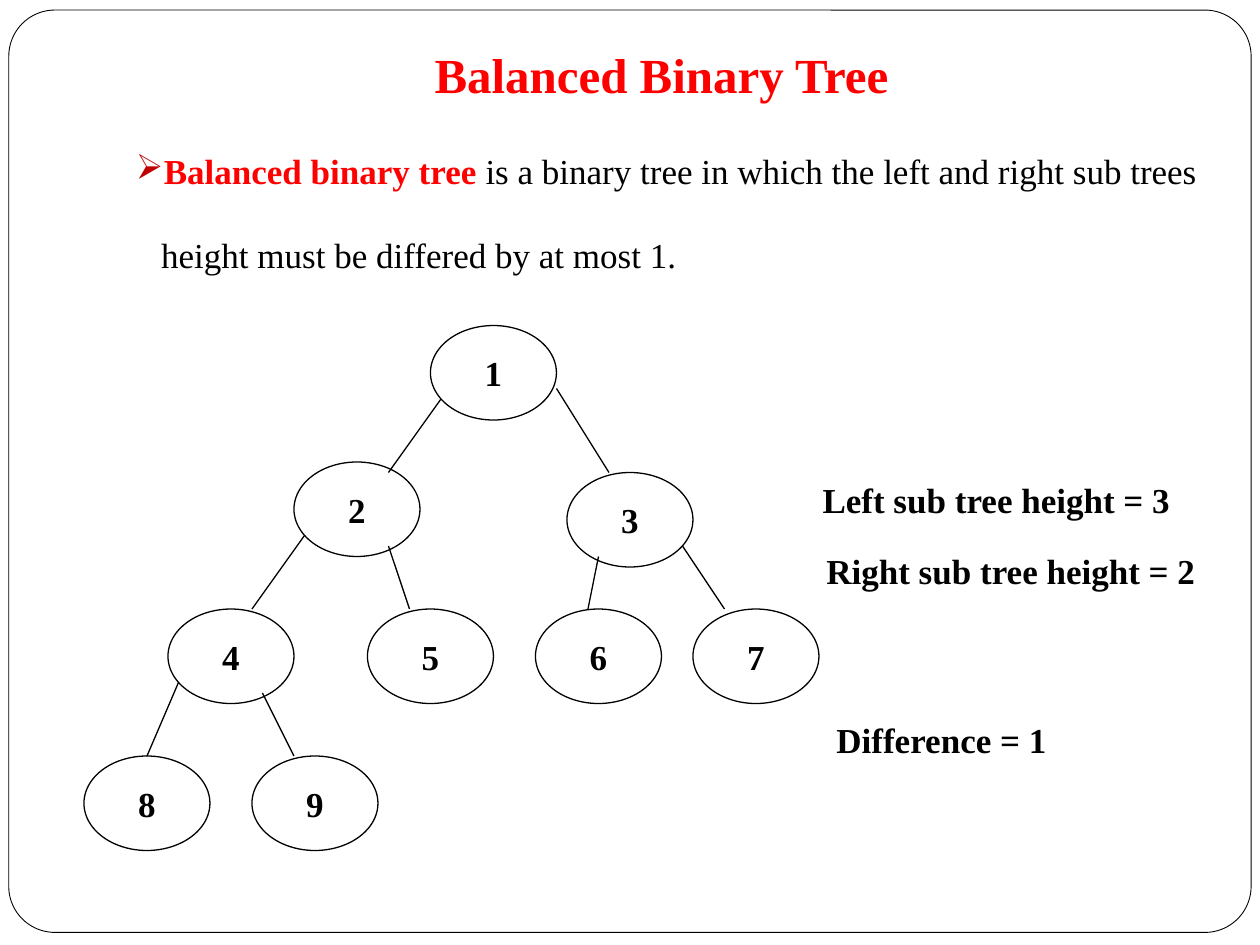
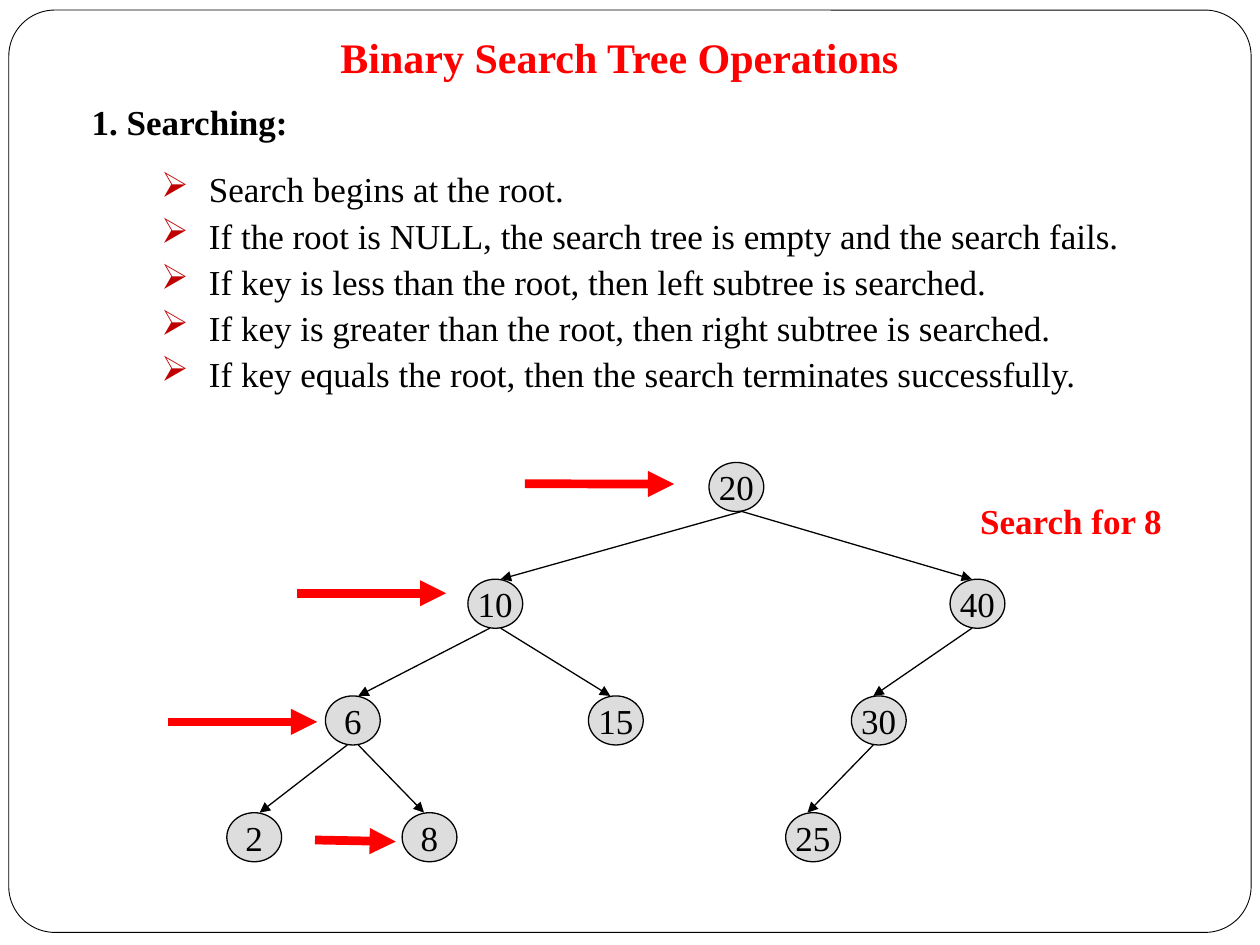
"""Build two slides on balanced binary trees and binary search tree operations."""
from dataclasses import dataclass
from typing import NamedTuple

import lxml.etree
import pptx
import pptx.dml.color
import pptx.enum.shapes
import pptx.enum.text
import pptx.oxml.ns
import pptx.util

COLORS = {"ink": "000000", "accent": "FF0000", "bullet": "C00000", "paper": "FFFFFF", "key": "DDDDDD"}
FONT = "Times New Roman"
Align = pptx.enum.text.PP_ALIGN
Anchor = pptx.enum.text.MSO_ANCHOR
Preset = pptx.enum.shapes.MSO_SHAPE
qn = pptx.oxml.ns.qn


@dataclass(frozen=True)
class Grid:
    """A grid in inches: its origin and the size of one column and one row."""
    left: float
    top: float
    column: float
    row: float

    def x(self, column: float) -> int:
        """Return the horizontal position of a column."""
        return pptx.util.Inches(self.left + column * self.column)

    def y(self, row: float) -> int:
        """Return the vertical position of a row."""
        return pptx.util.Inches(self.top + row * self.row)


class Area(NamedTuple):
    """A place on a grid, in columns and rows."""
    column: float
    row: float
    columns: float
    rows: float

    def on(self, grid: Grid) -> tuple[int, int, int, int]:
        """Return left, top, width and height on a grid."""
        left, top = grid.x(self.column), grid.y(self.row)
        right, bottom = grid.x(self.column + self.columns), grid.y(self.row + self.rows)
        return left, top, right - left, bottom - top


class Node(NamedTuple):
    """A tree node and the grid cell of its top left corner."""
    key: str
    column: float
    row: float


class Edge(NamedTuple):
    """A line between two grid points."""
    start_column: float
    start_row: float
    end_column: float
    end_row: float


class Branch(NamedTuple):
    """A parent and child key, with the sideways lean of each end."""
    parent: str
    child: str
    start_lean: float
    end_lean: float


@dataclass(frozen=True)
class NodeStyle:
    """The size in grid cells, fill and weight of a tree's nodes."""
    columns: float
    rows: float
    fill: str
    bold: bool


PAGE = Grid(0, 0, 10 / 120, 7.5 / 90)
SEARCH = Grid(1.8, 3.67, 5.74 / 66, 2.78 / 3)
BALANCED_STYLE = NodeStyle(12, 9, "paper", True)
SEARCH_STYLE = NodeStyle(5, 0.42, "key", False)

BALANCED_NODES = [
    Node("1", 41, 31), Node("2", 28, 44), Node("3", 54, 45), Node("4", 16, 58), Node("5", 35, 58),
    Node("6", 51, 58), Node("7", 66, 58), Node("8", 8, 72), Node("9", 24, 72),
]
BALANCED_EDGES = [
    Edge(42, 38, 37, 45), Edge(53, 37, 58, 45), Edge(29, 51, 24, 58), Edge(37, 52, 39, 58),
    Edge(17, 65, 14, 72), Edge(25, 66, 28, 72), Edge(57, 53, 56, 58), Edge(65, 52, 69, 58),
]
HEIGHT_NOTES = [
    ("Left sub tree height = 3", Area(77.16, 45, 37, 5.28)),
    ("Right sub tree height = 2", Area(77.52, 51.72, 39, 5.28)),
    ("Difference = 1", Area(78.48, 67.8, 24, 5.28)),
]
SEARCH_NODES = [
    Node("20", 44, 0), Node("10", 22, 1), Node("40", 66, 1), Node("6", 9, 2), Node("15", 33, 2),
    Node("30", 57, 2), Node("2", 0, 3), Node("8", 16, 3), Node("25", 51, 3),
]
SEARCH_BRANCHES = [
    Branch("20", "10", 0.5, 0.5), Branch("20", "40", 0.5, -0.5),
    Branch("10", "6", -0.5, 0.5), Branch("10", "15", 0.5, -0.5), Branch("40", "30", -0.5, -0.5),
    Branch("6", "2", -0.5, 0.5), Branch("6", "8", 0.5, -0.5), Branch("30", "25", -0.5, -0.5),
]
SEARCH_STEPS = [
    Edge(50, 46.08, 64.2, 46.1), Edge(28.3, 56.5, 42.5, 56.5),
    Edge(16, 68.75, 30.2, 68.75), Edge(30, 80, 37.7, 80.15),
]
SEARCH_RULES = [
    "Search begins at the root.",
    "If the root is NULL, the search tree is empty and the search fails.",
    "If key is less than the root, then left subtree is searched.",
    "If key is greater than the root, then right subtree is searched.",
    "If key equals the root, then the search terminates successfully.",
]


def rgb(name: str) -> pptx.dml.color.RGBColor:
    """Return a palette colour."""
    return pptx.dml.color.RGBColor.from_string(COLORS[name])


def write(paragraph, text: str, *, size: float = 20, color: str = "ink", bold: bool = False, align=Align.LEFT) -> None:
    """Add formatted text to a paragraph."""
    paragraph.alignment = align
    run = paragraph.add_run()
    run.text = text
    run.font.name, run.font.size, run.font.bold = FONT, pptx.util.Pt(size), bold
    run.font.color.rgb = rgb(color)


def add_bullet(paragraph, indent: float = 0) -> None:
    """Give a paragraph an arrow bullet with a hanging indent in inches."""
    properties = paragraph._p.get_or_add_pPr()
    hang = pptx.util.Inches(indent)
    properties.set("marL", str(hang))
    properties.set("indent", str(-hang))
    bullet_color = lxml.etree.SubElement(properties, qn("a:buClr"))
    lxml.etree.SubElement(bullet_color, qn("a:srgbClr"), val=COLORS["bullet"])
    lxml.etree.SubElement(properties, qn("a:buChar"), char="➢")


def add_text_frame(slide, area: Area, anchor=Anchor.TOP):
    """Add a wrapping text box and return its text frame."""
    frame = slide.shapes.add_textbox(*area.on(PAGE)).text_frame
    frame.word_wrap = True
    frame.vertical_anchor = anchor
    return frame


def add_outline(slide, preset, place: tuple[int, int, int, int], width: float):
    """Add an unfilled preset shape with a dark outline."""
    shape = slide.shapes.add_shape(preset, *place)
    shape.shadow.inherit = False
    shape.fill.background()
    shape.line.color.rgb = rgb("ink")
    shape.line.width = pptx.util.Pt(width)
    return shape


def add_nodes(slide, grid: Grid, nodes: list[Node], style: NodeStyle) -> None:
    """Draw the nodes of a tree."""
    for node in nodes:
        area = Area(node.column, node.row, style.columns, style.rows)
        oval = add_outline(slide, Preset.OVAL, area.on(grid), 0.75)
        oval.fill.solid()
        oval.fill.fore_color.rgb = rgb(style.fill)
        oval.text_frame.word_wrap = False
        oval.text_frame.vertical_anchor = Anchor.MIDDLE
        write(oval.text_frame.paragraphs[0], node.key, bold=style.bold, align=Align.CENTER)


def add_edges(slide, grid: Grid, edges: list[Edge], *, color: str = "ink", width: float = 0.75, arrow: bool = False) -> None:
    """Draw straight lines, with an arrowhead at the end when asked."""
    for edge in edges:
        line = slide.shapes.add_connector(
            pptx.enum.shapes.MSO_CONNECTOR.STRAIGHT, grid.x(edge.start_column), grid.y(edge.start_row),
            grid.x(edge.end_column), grid.y(edge.end_row))
        line.line.color.rgb = rgb(color)
        line.line.width = pptx.util.Pt(width)
        properties = line.element.spPr
        if arrow:
            lxml.etree.SubElement(properties.find(qn("a:ln")), qn("a:tailEnd"), type="triangle")
        lxml.etree.SubElement(properties, qn("a:effectLst"))


def branch_edges(nodes: list[Node], branches: list[Branch], style: NodeStyle) -> list[Edge]:
    """Join each parent's bottom to its child's top."""
    by_key = {node.key: node for node in nodes}
    middle = style.columns / 2
    edges = []
    for branch in branches:
        parent, child = by_key[branch.parent], by_key[branch.child]
        edges.append(Edge(parent.column + middle + branch.start_lean, parent.row + style.rows,
                          child.column + middle + branch.end_lean, child.row))
    return edges


def add_framed_slide(presentation, title: str, area: Area, size: float):
    """Add a slide with the rounded frame and its title."""
    slide = presentation.slides.add_slide(presentation.slide_layouts[5])
    frame = add_outline(slide, Preset.ROUNDED_RECTANGLE, Area(0.84, 0.96, 118.32, 87.84).on(PAGE), 0.5)
    frame.adjustments[0] = 0.05
    heading = slide.shapes.title
    heading.left, heading.top, heading.width, heading.height = area.on(PAGE)
    heading.text_frame.auto_size = pptx.enum.text.MSO_AUTO_SIZE.NONE
    heading.text_frame.vertical_anchor = Anchor.BOTTOM
    heading.text_frame.margin_bottom = pptx.util.Inches(0.1)
    write(heading.text_frame.paragraphs[0], title, size=size, color="accent", bold=True, align=Align.CENTER)
    return slide


def build_balanced_tree(presentation) -> None:
    """Build the slide that defines a balanced binary tree."""
    slide = add_framed_slide(presentation, "Balanced Binary Tree", Area(12, 4, 102, 7), 28)
    add_nodes(slide, PAGE, BALANCED_NODES, BALANCED_STYLE)
    add_edges(slide, PAGE, BALANCED_EDGES)
    definition = add_text_frame(slide, Area(11.76, 13.68, 104.28, 13.2))
    opening = definition.paragraphs[0]
    add_bullet(opening)
    write(opening, "Balanced binary tree ", color="accent", bold=True)
    write(opening, "is a binary tree in which the left and right sub trees")
    closing = definition.add_paragraph()
    closing._p.get_or_add_pPr().set("marL", str(pptx.util.Inches(0.2)))
    closing.space_before = pptx.util.Pt(24)
    write(closing, "height must be differed by at most 1.")
    for note, area in HEIGHT_NOTES:
        write(add_text_frame(slide, area).paragraphs[0], note, bold=True)


def build_search(presentation) -> None:
    """Build the slide that searches a binary search tree."""
    slide = add_framed_slide(presentation, "Binary Search Tree Operations", Area(6, 2, 106, 7), 24)
    operation = add_text_frame(slide, Area(7.56, 8.16, 25, 6.84), Anchor.MIDDLE)
    write(operation.paragraphs[0], "1. Searching:", bold=True)
    rules = add_text_frame(slide, Area(14.16, 15, 93.84, 24))
    for index, rule in enumerate(SEARCH_RULES):
        paragraph = rules.add_paragraph() if index else rules.paragraphs[0]
        add_bullet(paragraph, 0.38)
        paragraph.line_spacing = 1.1
        write(paragraph, rule)
    add_nodes(slide, SEARCH, SEARCH_NODES, SEARCH_STYLE)
    add_edges(slide, SEARCH, branch_edges(SEARCH_NODES, SEARCH_BRANCHES, SEARCH_STYLE), arrow=True)
    add_edges(slide, PAGE, SEARCH_STEPS, color="accent", width=5, arrow=True)
    target = add_text_frame(slide, Area(92.16, 47, 21, 5.28))
    write(target.paragraphs[0], "Search for 8", color="accent", bold=True)


def main() -> None:
    """Build and save the presentation."""
    presentation = pptx.Presentation()
    presentation.slide_width = pptx.util.Inches(10)
    presentation.slide_height = pptx.util.Inches(7.5)
    build_balanced_tree(presentation)
    build_search(presentation)
    presentation.save("out.pptx")


if __name__ == "__main__":
    main()
